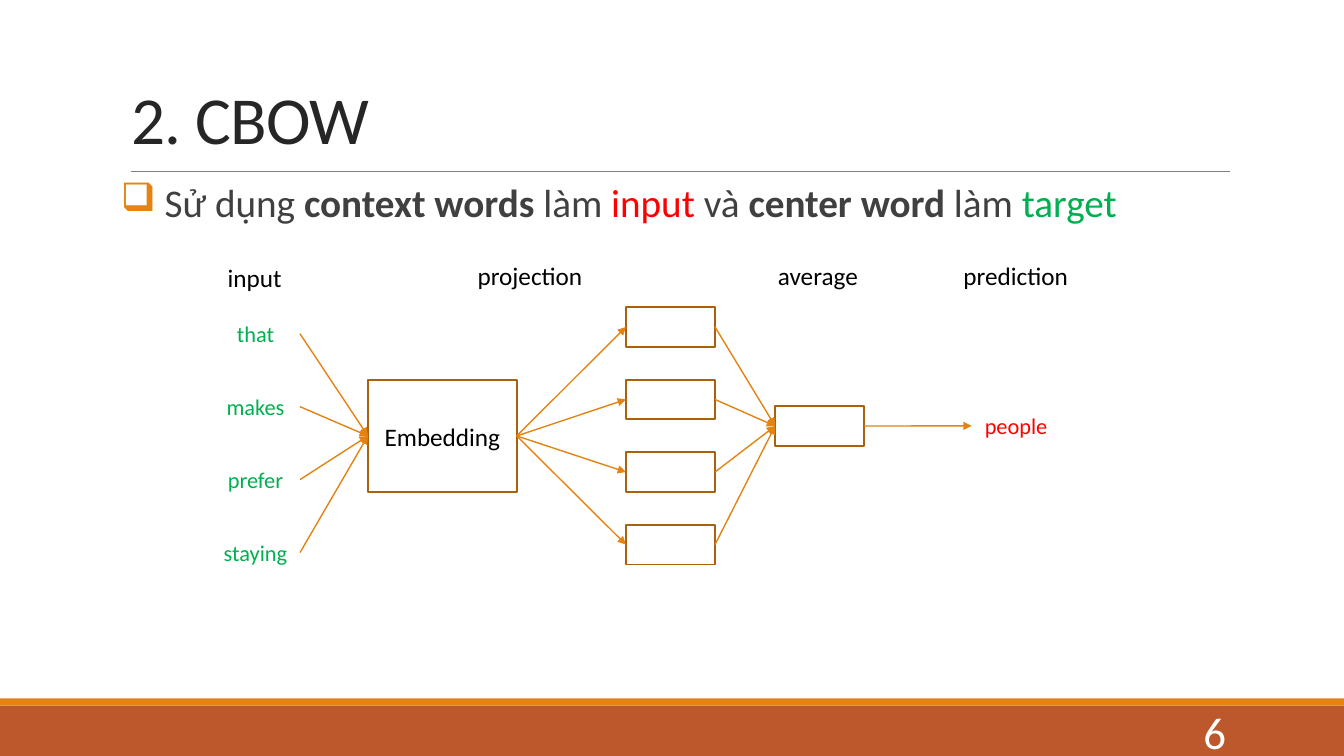
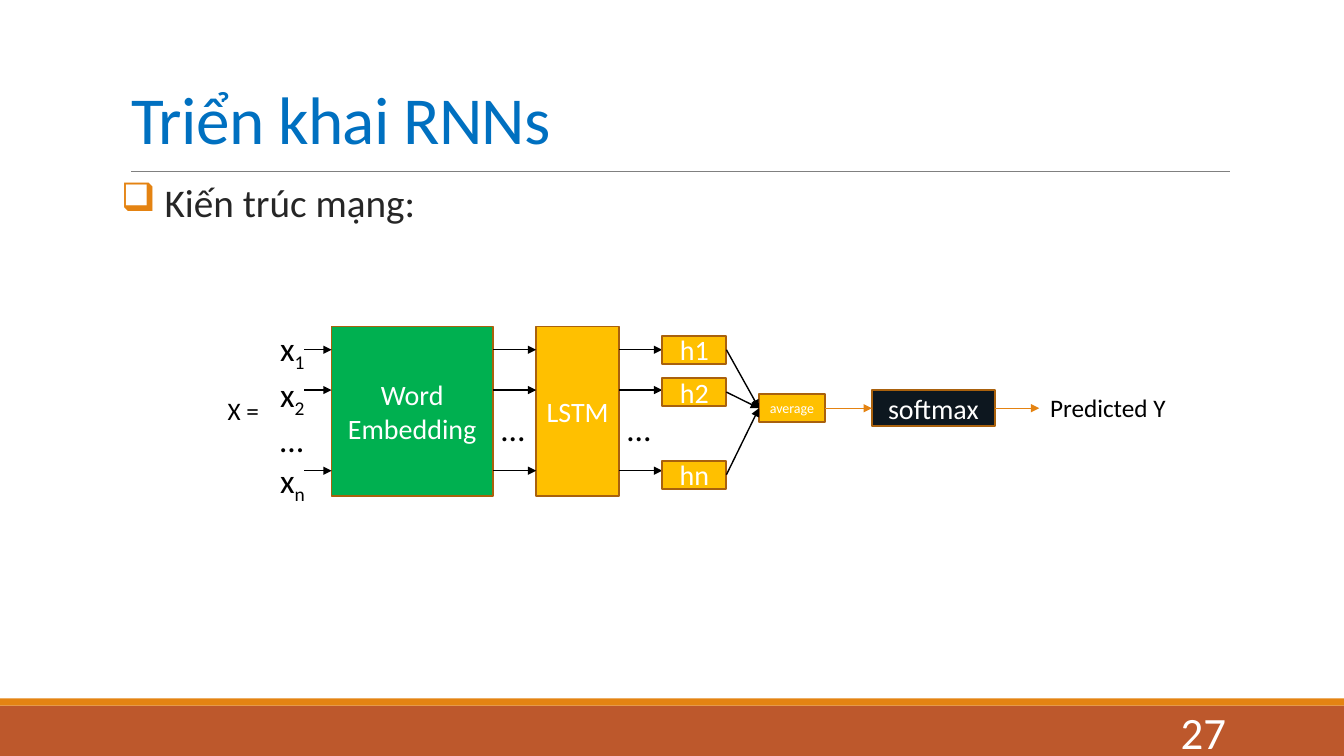
from dataclasses import dataclass
from typing import NamedTuple, Optional

import pptx
import pptx.dml.color
import pptx.enum.shapes
import pptx.enum.text
import pptx.oxml.ns
import pptx.util
from lxml import etree

RGBColor = pptx.dml.color.RGBColor
ALIGN = pptx.enum.text.PP_ALIGN
ANCHOR = pptx.enum.text.MSO_ANCHOR
qn = pptx.oxml.ns.qn

WHITE = RGBColor(0xFF, 0xFF, 0xFF)
BLACK = RGBColor(0x00, 0x00, 0x00)
INK = RGBColor(0x26, 0x26, 0x26)
GREY_TEXT = RGBColor(0x40, 0x40, 0x40)
RULE = RGBColor(0x80, 0x80, 0x80)
RUST = RGBColor(0xBD, 0x58, 0x2C)
ORANGE = RGBColor(0xE4, 0x83, 0x12)
BROWN = RGBColor(0xA9, 0x61, 0x0D)
RED = RGBColor(0xFF, 0x00, 0x00)
GREEN = RGBColor(0x00, 0xB0, 0x50)
BLUE = RGBColor(0x00, 0x70, 0xC0)
AMBER = RGBColor(0xFF, 0xC0, 0x00)
NIGHT = RGBColor(0x0D, 0x17, 0x1F)

FONT = "Calibri"
COLS, ROWS = 40, 22.5
CELL = pptx.util.Inches(13.333) / COLS
TITLE_ONLY = 5


class Run(NamedTuple):
    text: str
    color: Optional[RGBColor] = None
    bold: bool = False
    sub: bool = False


@dataclass(frozen=True)
class Box:
    x: float
    y: float
    w: float
    h: float

    @property
    def emu(self) -> tuple:
        return tuple(cells(v) for v in (self.x, self.y, self.w, self.h))

    @property
    def left(self) -> tuple:
        return self.x, self.y + self.h / 2

    @property
    def right(self) -> tuple:
        return self.x + self.w, self.y + self.h / 2


@dataclass(frozen=True)
class Block:
    box: Box
    text: str = ""
    fill: Optional[RGBColor] = None
    size: float = 20
    color: RGBColor = WHITE


@dataclass(frozen=True)
class Label:
    box: Box
    text: str
    size: float = 18


TITLE = Box(3.6, 0.93, 33, 3.93)
BODY = Box(3.6, 5.31, 33, 13.95)
PAGE = Box(32.5, 21.18, 4.29, 1.2)
BANDS = ((Box(0, 21, COLS, 1.5), RUST), (Box(0, 20.79, COLS, 0.21), ORANGE))


def cells(n: float) -> int:
    return pptx.util.Emu(round(n * CELL))


def write(tf, paragraphs, *, size: float, color=BLACK, align=ALIGN.LEFT,
          anchor=ANCHOR.TOP, wrap=True, side=0.1) -> None:
    tf.word_wrap = wrap
    tf.auto_size = pptx.enum.text.MSO_AUTO_SIZE.NONE
    tf.vertical_anchor = anchor
    tf.margin_left = tf.margin_right = pptx.util.Inches(side)
    tf.margin_top = tf.margin_bottom = pptx.util.Inches(0.05)
    for i, runs in enumerate(paragraphs):
        p = tf.paragraphs[0] if i == 0 else tf.add_paragraph()
        p.alignment = align
        for run in runs:
            r = p.add_run()
            r.text = run.text
            r.font.name = FONT
            r.font.size = pptx.util.Pt(size)
            r.font.bold = run.bold
            r.font.color.rgb = run.color or color
            if run.sub:
                r._r.get_or_add_rPr().set("baseline", "-25000")


def add_text(s, box: Box, paragraphs, **fmt):
    tf = s.shapes.add_textbox(*box.emu).text_frame
    write(tf, paragraphs, **fmt)
    return tf


def add_rect(s, box: Box, fill=None, line=None):
    sp = s.shapes.add_shape(pptx.enum.shapes.MSO_SHAPE.RECTANGLE, *box.emu)
    sp.shadow.inherit = False
    if fill is None:
        sp.fill.background()
    else:
        sp.fill.solid()
        sp.fill.fore_color.rgb = fill
    if line is None:
        sp.line.fill.background()
    else:
        sp.line.color.rgb = line
        sp.line.width = pptx.util.Pt(1.25)
    return sp


def add_block(s, block: Block) -> Box:
    sp = add_rect(s, block.box, block.fill, BROWN)
    if block.text:
        write(sp.text_frame, [[Run(t)] for t in block.text.split("\n")],
              size=block.size, color=block.color, align=ALIGN.CENTER,
              anchor=ANCHOR.MIDDLE, side=0.05)
    return block.box


def add_line(s, start: tuple, end: tuple, color=ORANGE, width=1.0, arrow=True) -> None:
    ends = [cells(v) for v in (*start, *end)]
    c = s.shapes.add_connector(pptx.enum.shapes.MSO_CONNECTOR.STRAIGHT, *ends)
    c.line.color.rgb = color
    c.line.width = pptx.util.Pt(width)
    if arrow:
        etree.SubElement(c.line._get_or_add_ln(), qn("a:tailEnd"), type="triangle")
    etree.SubElement(c._element.spPr, qn("a:effectLst"))


def add_labels(s, labels) -> None:
    for label in labels:
        add_text(s, label.box, [[Run(label.text)]], size=label.size, wrap=False)


def add_word(s, box: Box, word: str, color: RGBColor) -> None:
    add_text(s, box, [[Run(word)]], size=16, color=color,
             align=ALIGN.CENTER, anchor=ANCHOR.MIDDLE)


def add_bullet(s, runs) -> None:
    p = add_text(s, BODY, [runs], size=28, color=GREY_TEXT, side=0).paragraphs[0]
    p.line_spacing = 0.9
    p.space_before = pptx.util.Pt(12)
    p.space_after = pptx.util.Pt(2)
    pPr = p._p.get_or_add_pPr()
    indent = pptx.util.Inches(0.1)
    pPr.set("marL", str(indent))
    pPr.set("indent", str(-indent))
    bullet_color = etree.SubElement(pPr, qn("a:buClr"))
    etree.SubElement(bullet_color, qn("a:srgbClr"), val=str(ORANGE))
    etree.SubElement(pPr, qn("a:buChar"), char="❑")


def new_slide(prs, title: str, title_color: RGBColor, page: int, bullet):
    s = prs.slides.add_slide(prs.slide_layouts[TITLE_ONLY])
    for box, color in BANDS:
        add_rect(s, box, color)
    add_line(s, (3.9, 5.1), (36.6, 5.1), RULE, 0.5, arrow=False)
    sp = s.shapes.title
    sp.left, sp.top, sp.width, sp.height = TITLE.emu
    write(sp.text_frame, [[Run(title)]], size=48, color=title_color, anchor=ANCHOR.BOTTOM)
    p = sp.text_frame.paragraphs[0]
    p.line_spacing = 0.85
    p.runs[0]._r.get_or_add_rPr().set("spc", "-50")
    add_bullet(s, bullet)
    add_text(s, PAGE, [[Run(str(page))]], size=32, color=WHITE,
             align=ALIGN.RIGHT, anchor=ANCHOR.MIDDLE)
    return s


def cbow_slide(prs) -> None:
    s = new_slide(prs, "2. CBOW", INK, 6, [
        Run(" Sử dụng "), Run("context words ", bold=True), Run("làm "),
        Run("input", RED), Run(" và "), Run("center word ", bold=True),
        Run("làm "), Run("target", GREEN)])
    add_labels(s, [
        Label(Box(6.48, 7.65, 2.22, 1.2), "input"),
        Label(Box(13.92, 7.6, 3.75, 1.2), "projection"),
        Label(Box(22.86, 7.6, 3, 1.2), "average"),
        Label(Box(28.38, 7.6, 3.75, 1.2), "prediction")])
    embedding = add_block(s, Block(Box(10.95, 11.31, 4.43, 3.33), "Embedding",
                                   size=18, color=BLACK))
    average = add_block(s, Block(Box(23.07, 12.09, 2.65, 1.18)))
    target = Box(28.92, 12.09, 2.64, 1.17)
    add_word(s, target, "people", RED)
    for i, word in enumerate(("that", "makes", "prefer", "staying")):
        source = Box(6.28, 9.35 + 2.17 * i, 2.65, 1.17)
        add_word(s, source, word, GREEN)
        vector = add_block(s, Block(Box(18.63, 9.14 + 2.16 * i, 2.65, 1.18)))
        add_line(s, source.right, embedding.left)
        add_line(s, embedding.right, vector.left)
        add_line(s, vector.right, average.left)
    add_line(s, average.right, target.left)


def rnn_slide(prs) -> None:
    s = new_slide(prs, "Triển khai RNNs", BLUE, 27,
                  [Run(" "), Run("Kiến trúc mạng:", INK)])
    embedding = add_block(s, Block(Box(9.87, 9.72, 4.8, 5.04), "Word\nEmbedding", GREEN))
    lstm = add_block(s, Block(Box(15.96, 9.72, 2.46, 5.04), "LSTM", AMBER))
    average = add_block(s, Block(Box(22.59, 11.73, 1.96, 0.84), "average", AMBER, 10))
    softmax = add_block(s, Block(Box(25.95, 11.61, 3.66, 1.08), "softmax", NIGHT))
    tokens = [[Run("x"), Run("1", sub=True)], [Run("x"), Run("2", sub=True)],
              [Run("…")], [Run("x"), Run("n", sub=True)]]
    add_text(s, Box(8.04, 9.6, 1.62, 5.16), tokens, size=24, wrap=False)
    add_labels(s, [
        Label(Box(6.48, 11.61, 1.56, 1.2), "X ="),
        Label(Box(30.96, 11.52, 4.08, 1.2), "Predicted Y"),
        Label(Box(14.4, 12, 1.77, 1.5), " …", 24),
        Label(Box(18.15, 12, 1.77, 1.5), " …", 24)])
    hidden_x = 19.71
    gaps = ((9.06, embedding.x), (embedding.right[0], lstm.x), (lstm.right[0], hidden_x))
    for name, y, top in (("h1", 10.41, 9.99), ("h2", 11.61, 11.25), ("hn", 14.01, 13.71)):
        for start, end in gaps:
            add_line(s, (start, y), (end, y), BLACK)
        state = add_block(s, Block(Box(hidden_x, top, 1.91, 0.84), name, AMBER))
        add_line(s, state.right, average.left, BLACK)
    add_line(s, average.right, softmax.left)
    add_line(s, softmax.right, (30.93, softmax.right[1]))


def main() -> None:
    prs = pptx.Presentation()
    prs.slide_width = cells(COLS)
    prs.slide_height = cells(ROWS)
    cbow_slide(prs)
    rnn_slide(prs)
    prs.save("out.pptx")


if __name__ == "__main__":
    main()
